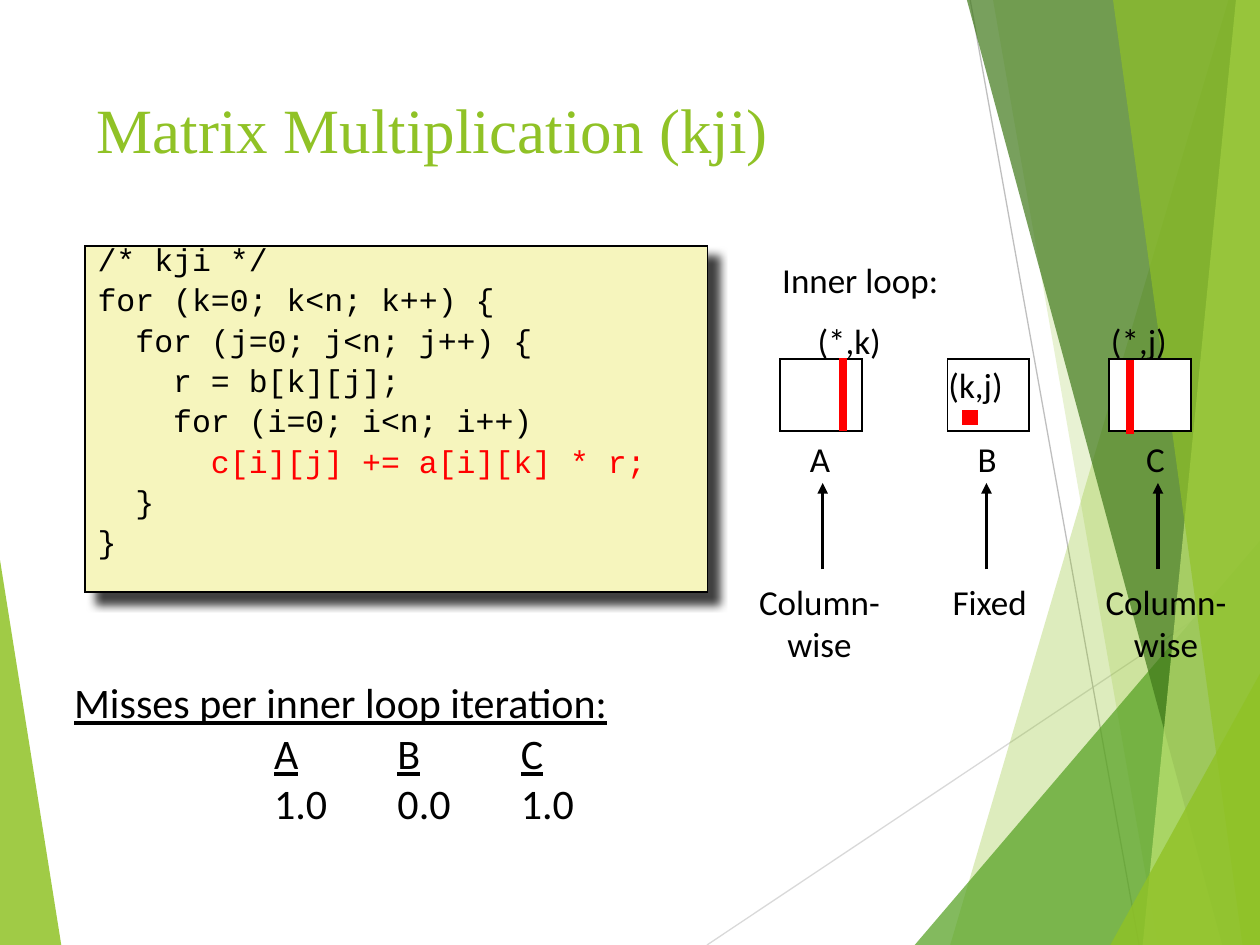
import pptx
import pptx.util
import pptx.dml.color
import pptx.enum.shapes
import pptx.enum.text
import pptx.oxml
import pptx.oxml.ns
from lxml import etree

Pt = pptx.util.Pt
Rect = pptx.enum.shapes.MSO_SHAPE.RECTANGLE
Line = pptx.enum.shapes.MSO_CONNECTOR.STRAIGHT
Align = pptx.enum.text.PP_ALIGN
Anchor = pptx.enum.text.MSO_ANCHOR
qn = pptx.oxml.ns.qn

HEX = {"lime": "90C226", "green": "54A021", "dark": "3F7819", "pale": "C0E474",
       "light": "D9D9D9", "grey": "BFBFBF", "cream": "F6F5BD",
       "black": "000000", "red": "FF0000", "white": "FFFFFF"}

BODY = {"name": "Calibri", "size": Pt(20)}
CODE = {"name": "Courier New", "size": Pt(18)}
TALLY = {"name": "Calibri", "size": Pt(24)}
TITLE = {"name": "Times New Roman", "size": Pt(36)}


def color(key):
    return pptx.dml.color.RGBColor.from_string(HEX[key])


def sub(parent, tag, **attrs):
    node = etree.SubElement(parent, qn(tag))
    for key, value in attrs.items():
        node.set(key, str(value))
    return node


def paint(shape, fill, line=None, width=1):
    shape.shadow.inherit = False
    shape.fill.solid()
    shape.fill.fore_color.rgb = color(fill)
    if line:
        shape.line.color.rgb = color(line)
        shape.line.width = Pt(width)
        # Square corners
        sub(shape.line._get_or_add_ln(), "a:miter", lim=800000)
    else:
        shape.line.fill.background()


def box(slide, x, y, w, h, fill, line="black", width=1):
    shape = slide.shapes.add_shape(Rect, Pt(x), Pt(y), Pt(w), Pt(h))
    paint(shape, fill, line, width)
    return shape


def rule(slide, x1, y1, x2, y2, key, width, arrow=False):
    link = slide.shapes.add_connector(Line, Pt(x1), Pt(y1), Pt(x2), Pt(y2))
    link.line.color.rgb = color(key)
    link.line.width = Pt(width)
    if arrow:
        sub(link.line._get_or_add_ln(), "a:tailEnd", type="triangle")
    sub(link._element.spPr, "a:effectLst")


def add_run(para, words, style, key="black"):
    run = para.add_run()
    run.text = words
    for name, value in style.items():
        setattr(run.font, name, value)
    run.font.color.rgb = color(key)


def text(slide, x, y, w, h, lines, style, key="black", wrap=False, **form):
    frame = slide.shapes.add_textbox(Pt(x), Pt(y), Pt(w), Pt(h)).text_frame
    frame.word_wrap = wrap
    for i, words in enumerate(lines):
        para = frame.paragraphs[0] if i == 0 else frame.add_paragraph()
        for name, value in form.items():
            setattr(para, name, value)
        add_run(para, words, style, key)
    return frame


def backdrop(slide, w, h):
    def facet(points, key, alpha):
        pen = slide.shapes.build_freeform(Pt(points[0][0]), Pt(points[0][1]))
        pen.add_line_segments([(Pt(x), Pt(y)) for x, y in points[1:]])
        shape = pen.convert_to_shape()
        paint(shape, key, None)
        tint = shape._element.spPr.find(qn("a:solidFill"))[0]
        sub(tint, "a:alpha", val=alpha * 1000)

    facet([(0, 320), (35, h), (0, h)], "lime", 85)
    rule(slide, 404, h, w, 329, "light", 0.75)
    rule(slide, 554.4, 0, 650.9, h, "grey", 0.75)
    # Facets hang on the right edge: top x, bottom x, colour, opacity
    for top, foot, key, alpha in [(702, 543, "lime", 30), (567.5, 661.7, "lime", 20)]:
        facet([(top, 0), (foot, h), (w, h), (w, 0)], key, alpha)
    facet([(522.7, h), (w, 309), (w, h)], "green", 72)
    for top, foot, key, alpha in [(552.5, 698.4, "dark", 70), (706.3, 653, "pale", 70),
                                  (636, 710, "lime", 65)]:
        facet([(top, 0), (foot, h), (w, h), (w, 0)], key, alpha)
    facet([(634.5, h), (w, 385), (w, h)], "lime", 80)


def heading(slide, x, y, w, h):
    frame = text(slide, x, y, w, h, ["Matrix Multiplication (kji)"], TITLE, "lime", True)
    frame.vertical_anchor = Anchor.TOP


def listing(slide, x, y, w, h):
    card = box(slide, x, y, w, h, "cream")
    # Soft drop shadow
    glow = card._element.spPr.find(qn("a:effectLst"))
    cast = sub(glow, "a:outerShdw", blurRad=Pt(5), dist=Pt(8.5), dir=45 * 60000,
               algn="tl", rotWithShape=0)
    sub(sub(cast, "a:srgbClr", val=HEX["black"]), "a:alpha", val=75000)
    frame = card.text_frame
    frame.word_wrap = True
    frame.vertical_anchor = Anchor.TOP
    code = ["/* kji */", "for (k=0; k<n; k++) {", "  for (j=0; j<n; j++) {",
            "    r = b[k][j];", "    for (i=0; i<n; i++)",
            "      c[i][j] += a[i][k] * r;", "  }", "}"]
    for i, words in enumerate(code):
        para = frame.paragraphs[0] if i == 0 else frame.add_paragraph()
        para.alignment = Align.LEFT
        para.line_spacing = 0.65
        if i:
            para.space_before = Pt(9)
        add_run(para, words, CODE, "red" if "+=" in words else "black")


def loop(slide, x, y):
    text(slide, x, y, 104.4, 31, ["Inner loop:"], BODY)
    # Per matrix: left, name, name left, index, its left, top and width, arrow, access
    parts = [
        (5.8, "A", 15.8, "(*,k)", 20.2, 35.3, 52, 30.2, ["Column-", "wise"], -13.7, 84.2),
        (101.5, "B", 111.6, "(k,j)", 95, 60.2, 47, 123.8, ["Fixed"], 97.2, 56.9),
        (193.7, "C", 208, "(*,j)", 187.9, 35.3, 47, 221.8, ["Column-", "wise"], 184.3, 84.2)]
    for left, name, nx, index, ix, iy, iw, ax, mode, mx, mw in parts:
        box(slide, x + left, y + 61.2, 46.8, 41, "white")
        text(slide, x + nx, y + 102.2, 26, 31, [name], BODY)
        text(slide, x + ix, y + iy, iw, 31, [index], BODY)
        rule(slide, x + ax, y + 181.4, x + ax, y + 132, "black", 2, True)
        text(slide, x + mx, y + 184.3, mw, 31 * len(mode) - 3, mode, BODY,
             alignment=Align.CENTER)
    # Elements touched in A, C and B
    for bar, top in [(41.8, 60.5), (205.9, 62)]:
        rule(slide, x + bar, y + top + 42, x + bar, y + top, "red", 4.5)
    box(slide, x + 112.3, y + 92.5, 4.3, 4.3, "black", "red", 4.5)


def misses(slide, x, y, w, h):
    frame = text(slide, x, y, w, h, ["Misses per inner loop iteration:"],
                 {**TALLY, "underline": True}, wrap=True)
    for cells, lined in [("ABC", True), (("1.0", "0.0", "1.0"), False)]:
        para = frame.add_paragraph()
        tabs = sub(para._p.get_or_add_pPr(), "a:tabLst")
        for i, cell in enumerate(cells):
            sub(tabs, "a:tab", pos=Pt(114.3 + 70.5 * i), algn="l")
            add_run(para, "\t", TALLY)
            add_run(para, cell, {**TALLY, "underline": lined})


def main():
    deck = pptx.Presentation()
    deck.slide_width, deck.slide_height = Pt(720), Pt(540)
    slide = deck.slides.add_slide(deck.slide_layouts[6])
    backdrop(slide, 720, 540)
    heading(slide, 48.2, 48.2, 499.7, 59)
    listing(slide, 48.7, 140.4, 355.7, 198)
    loop(slide, 439.9, 144)
    misses(slide, 35.3, 383.3, 391, 96.5)
    deck.save("out.pptx")


if __name__ == "__main__":
    main()
